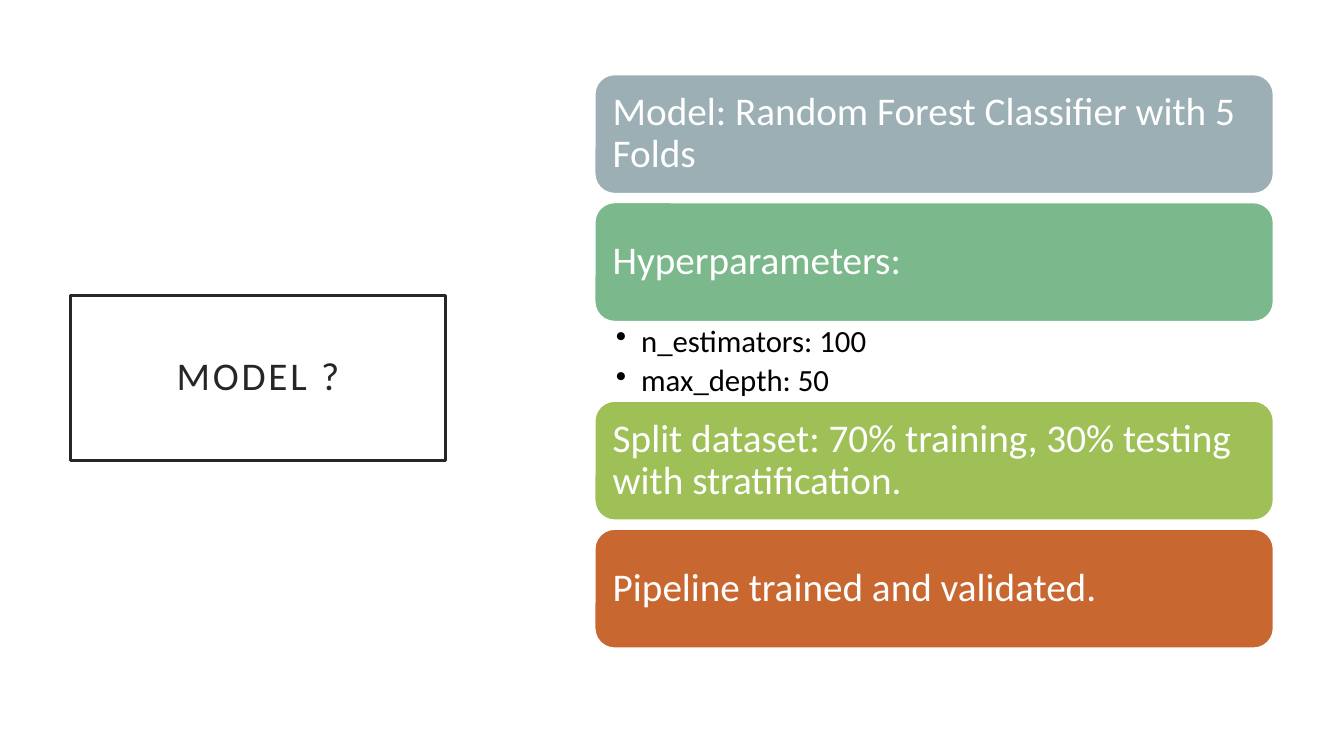
"""Build a slide that summarises the model, its hyperparameters and its training."""
import pptx
import pptx.dml.color
import pptx.enum.shapes
import pptx.enum.text
import pptx.util
from lxml import etree

Inches, Pt = pptx.util.Inches, pptx.util.Pt
SHAPES = pptx.enum.shapes.MSO_SHAPE
ALIGN = pptx.enum.text.PP_ALIGN
ANCHOR = pptx.enum.text.MSO_ANCHOR


def colour(hex_code):
    return pptx.dml.color.RGBColor.from_string(hex_code)


def write(box, lines, size, ink, insets, anchor, align=ALIGN.LEFT, bullet=False, tracking=0):
    frame = box.text_frame
    frame.word_wrap = True
    frame.vertical_anchor = anchor
    frame.margin_left = frame.margin_right = Inches(insets[0])
    frame.margin_top = frame.margin_bottom = Inches(insets[1])
    for index, line in enumerate(lines):
        para = frame.add_paragraph() if index else frame.paragraphs[0]
        para.alignment = align
        para.line_spacing = 0.9
        if bullet:
            para.space_after = Pt(size * 0.2)
            properties = para._p.get_or_add_pPr()
            properties.set("marL", str(Inches(0.25)))
            properties.set("indent", str(-Inches(0.25)))
            mark = etree.SubElement(properties, pptx.oxml.ns.qn("a:buChar"))
            mark.set("char", "•")
        span = para.add_run()
        span.text = line
        span.font.name = "Calibri"
        span.font.size = Pt(size)
        span.font.color.rgb = colour(ink)
        if tracking:
            span._r.get_or_add_rPr().set("spc", str(tracking * 100))


deck = pptx.Presentation()
deck.slide_width, deck.slide_height = Inches(13.33), Inches(7.5)
page = deck.slides.add_slide(deck.slide_layouts[6])

title = page.shapes.add_shape(SHAPES.RECTANGLE, Inches(0.7), Inches(2.93), Inches(3.72), Inches(1.64))
title.shadow.inherit = False
title.fill.solid()
title.fill.fore_color.rgb = colour("FFFFFF")
title.line.color.rgb = colour("262626")
title.line.width = Pt(2.5)
write(title, ["MODEL ?"], 28, "262626", (0.2, 0.2), ANCHOR.MIDDLE, ALIGN.CENTER, tracking=2)

left, width = Inches(5.9), Inches(6.73)
card_height, gap, list_height = Inches(1.18), Inches(0.09), Inches(0.79)
cards = [
    ("Model: Random Forest Classifier with 5 Folds", "9BAFB5", []),
    ("Hyperparameters:", "7BB88C", ["n_estimators: 100", "max_depth: 50"]),
    ("Split dataset: 70% training, 30% testing with stratification.", "9FC057", []),
    ("Pipeline trained and validated.", "C96731", []),
]

top = Inches(0.74)
for heading, fill, details in cards:
    card = page.shapes.add_shape(SHAPES.ROUNDED_RECTANGLE, left, top, width, card_height)
    card.shadow.inherit = False
    card.fill.solid()
    card.fill.fore_color.rgb = colour(fill)
    card.line.color.rgb = colour("FFFFFF")
    card.line.width = Pt(1)
    write(card, [heading], 28, "FFFFFF", (0.12, 0.12), ANCHOR.MIDDLE)
    top += card_height
    if details:
        box = page.shapes.add_textbox(left, top, width, list_height)
        write(box, details, 22, "000000", (0.21, 0.04), ANCHOR.TOP, bullet=True)
        top += list_height
    else:
        top += gap

deck.save("out.pptx")
